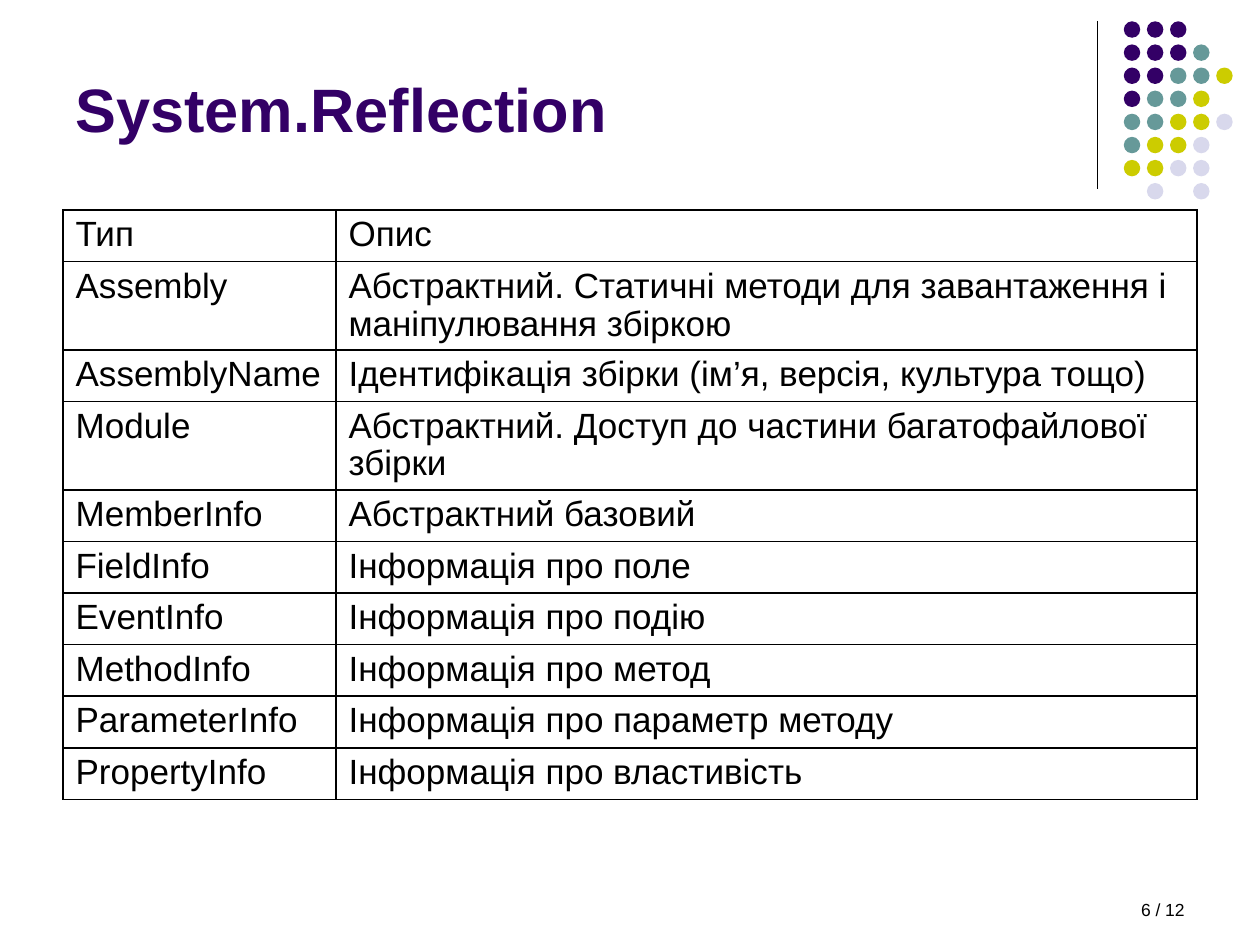
"""Build the System.Reflection types slide."""
import pptx
import pptx.dml.color
import pptx.enum.shapes
import pptx.enum.text
import pptx.oxml
import pptx.oxml.ns
import pptx.util

Pt = pptx.util.Pt
RGBColor = pptx.dml.color.RGBColor
Align = pptx.enum.text.PP_ALIGN
Anchor = pptx.enum.text.MSO_ANCHOR

BLACK = RGBColor(0x00, 0x00, 0x00)
PURPLE = RGBColor(0x33, 0x00, 0x66)
TEAL = RGBColor(0x66, 0x99, 0x99)
OLIVE = RGBColor(0xCC, 0xCC, 0x00)
LAVENDER = RGBColor(0xD8, 0xD8, 0xEC)

DOT_COLOURS = {"P": PURPLE, "T": TEAL, "O": OLIVE, "L": LAVENDER}
DOT_ROWS = ["PPP", "PPPT", "PPTTO", "PTTO", "TTOOL", "TOOL", "OOLL", " L L"]
DOT_LEFT, DOT_TOP, DOT_STEP, DOT_SIZE = 642.2, 12.2, 13.2, 9.4

TITLE_FONT = {"name": "Arial", "size": Pt(35), "bold": True}
TABLE_FONT = {"name": "Arial", "size": Pt(20), "bold": False}
NUMBER_FONT = {"name": "Arial", "size": Pt(10), "bold": False}

COLUMN_WIDTHS = [156, 492]
ROW_HEIGHT = 29.5
TYPES = [
    ("Тип", "Опис"),
    ("Assembly", "Абстрактний. Статичні методи для завантаження і маніпулювання збіркою"),
    ("AssemblyName", "Ідентифікація збірки (ім’я, версія, культура тощо)"),
    ("Module", "Абстрактний. Доступ до частини багатофайлової збірки"),
    ("MemberInfo", "Абстрактний базовий"),
    ("FieldInfo", "Інформація про поле"),
    ("EventInfo", "Інформація про подію"),
    ("MethodInfo", "Інформація про метод"),
    ("ParameterInfo", "Інформація про параметр методу"),
    ("PropertyInfo", "Інформація про властивість"),
]


def write(frame, text, font, colour, align=Align.LEFT, spacing=1.0):
    """Put one formatted paragraph in a text frame."""
    para = frame.paragraphs[0]
    para.alignment = align
    para.line_spacing = spacing
    span = para.add_run()
    span.text = text
    for name, value in font.items():
        setattr(span.font, name, value)
    span.font.color.rgb = colour


def add_rule(page, left, top, bottom):
    """Draw the thin vertical line beside the dots."""
    line = page.shapes.add_connector(
        pptx.enum.shapes.MSO_CONNECTOR.STRAIGHT, Pt(left), Pt(top), Pt(left), Pt(bottom))
    line.line.width = Pt(0.75)
    line.line.color.rgb = BLACK
    properties = line.element.find(pptx.oxml.ns.qn("p:spPr"))
    pptx.oxml.ns.qn("a:effectLst")
    properties.append(properties.makeelement(pptx.oxml.ns.qn("a:effectLst"), {}))


def add_dots(page):
    """Draw the grouped grid of coloured dots."""
    group = page.shapes.add_group_shape()
    for row, codes in enumerate(DOT_ROWS):
        for column, code in enumerate(codes):
            if code not in DOT_COLOURS:
                continue
            dot = group.shapes.add_shape(
                pptx.enum.shapes.MSO_SHAPE.OVAL,
                Pt(DOT_LEFT + column * DOT_STEP), Pt(DOT_TOP + row * DOT_STEP),
                Pt(DOT_SIZE), Pt(DOT_SIZE))
            dot.shadow.inherit = False
            dot.fill.solid()
            dot.fill.fore_color.rgb = DOT_COLOURS[code]
            dot.line.fill.background()


def add_title(page, text):
    """Place and fill the title placeholder."""
    title = page.shapes.title
    title.left, title.top, title.width, title.height = Pt(36), Pt(24), Pt(594), Pt(62.5)
    frame = title.text_frame
    frame.auto_size = pptx.enum.text.MSO_AUTO_SIZE.NONE
    frame.vertical_anchor = Anchor.BOTTOM
    write(frame, text, TITLE_FONT, PURPLE)


def add_borders(cell):
    """Give a cell black one-point borders on all sides."""
    properties = cell._tc.get_or_add_tcPr()
    for side in ("lnL", "lnR", "lnT", "lnB"):
        properties.append(pptx.oxml.parse_xml(
            f'<a:{side} {pptx.oxml.ns.nsdecls("a")} w="{Pt(1)}">'
            f'<a:solidFill><a:srgbClr val="{BLACK}"/></a:solidFill></a:{side}>'))


def add_types_table(page):
    """Add the bordered table of types and descriptions."""
    table = page.shapes.add_table(
        len(TYPES), len(COLUMN_WIDTHS), Pt(36), Pt(120),
        Pt(sum(COLUMN_WIDTHS)), Pt(ROW_HEIGHT * len(TYPES))).table
    table.first_row = table.horz_banding = False
    for column, width in zip(table.columns, COLUMN_WIDTHS):
        column.width = Pt(width)
    for row, texts in zip(table.rows, TYPES):
        row.height = Pt(ROW_HEIGHT)
        for cell, text in zip(row.cells, texts):
            add_borders(cell)
            cell.fill.background()
            write(cell.text_frame, text, TABLE_FONT, BLACK, spacing=0.97)


def add_page_number(page, text):
    """Add the right-aligned page count."""
    box = page.shapes.add_textbox(Pt(516), Pt(510), Pt(168), Pt(18))
    box.text_frame.word_wrap = True
    write(box.text_frame, text, NUMBER_FONT, BLACK, Align.RIGHT)


def main():
    """Build and save the deck."""
    deck = pptx.Presentation()
    deck.slide_width, deck.slide_height = Pt(720), Pt(540)
    page = deck.slides.add_slide(deck.slide_layouts[5])
    add_rule(page, 627, 12, 108)
    add_dots(page)
    add_title(page, "System.Reflection")
    add_types_table(page)
    add_page_number(page, "6 / 12")
    deck.save("out.pptx")


main()
